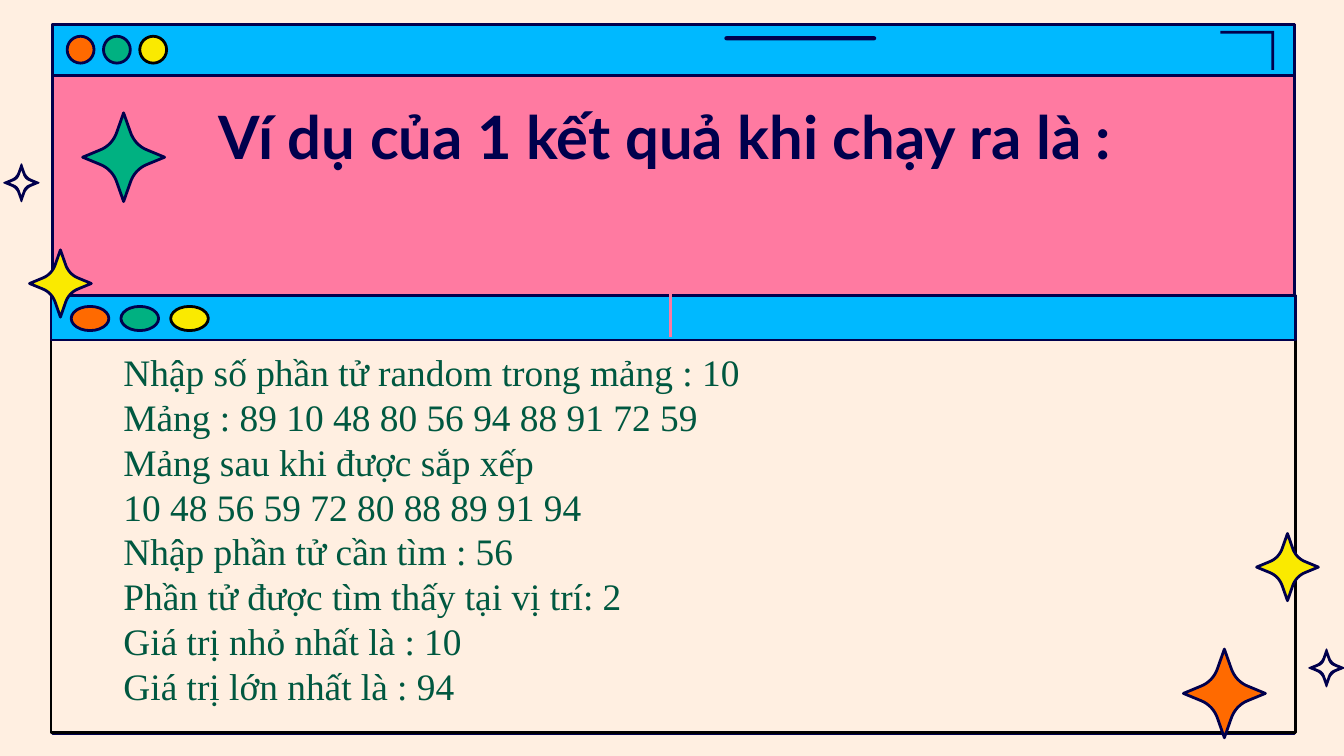
from pptx import Presentation
from pptx.dml.color import RGBColor
from pptx.enum.shapes import MSO_CONNECTOR, MSO_SHAPE
from pptx.enum.text import MSO_ANCHOR, MSO_AUTO_SIZE, PP_ALIGN
from pptx.util import Inches, Pt
from lxml.etree import SubElement
from pptx.oxml.ns import qn

NAVY, BLACK, CREAM = "00004D", "000000", "FFEFE1"
PINK, BLUE, TEXT_GREEN = "FF7AA1", "00B9FF", "005840"
ORANGE, GREEN, YELLOW = "FF6A00", "00B181", "FAEA00"
BUTTONS = [(ORANGE, NAVY), (GREEN, NAVY), (YELLOW, BLACK)]
RESULTS = [
    "Nhập số phần tử random trong mảng : 10",
    "Mảng : 89 10 48 80 56 94 88 91 72 59",
    "Mảng sau khi được sắp xếp",
    "10 48 56 59 72 80 88 89 91 94",
    "Nhập phần tử cần tìm : 56",
    "Phần tử được tìm thấy tại vị trí: 2",
    "Giá trị nhỏ nhất là : 10",
    "Giá trị lớn nhất là : 94",
]


def color(value):
    return RGBColor.from_string(value)


def style_shape(shape, fill, line=None, width=1.5):
    shape.shadow.inherit = False
    shape.fill.solid()
    shape.fill.fore_color.rgb = color(fill)
    if line:
        shape.line.color.rgb = color(line)
        shape.line.width = Pt(width)
    else:
        shape.line.fill.background()


def add_preset(page, kind, left, top, width, height, fill, line=None):
    shape = page.shapes.add_shape(
        kind, Inches(left), Inches(top), Inches(width), Inches(height))
    style_shape(shape, fill, line)
    return shape


def add_outline(page, contours, fill, line=None, width=1.5):
    contours = [[(Inches(x), Inches(y)) for x, y in points] for points in contours]
    builder = page.shapes.build_freeform(*contours[0][0])
    for index, points in enumerate(contours):
        if index:
            builder.move_to(*points[0])
        builder.add_line_segments(points[1:], close=True)
    style_shape(builder.convert_to_shape(), fill, line, width)


def add_window(page, left, top, width, height, bar_height, fill, line):
    add_preset(page, MSO_SHAPE.RECTANGLE, left, top, width, height, fill, line)
    add_preset(page, MSO_SHAPE.RECTANGLE, left, top, width, bar_height, BLUE, NAVY)


def add_buttons(page, left, top, width, height, pitch):
    for index, (fill, line) in enumerate(BUTTONS):
        add_preset(page, MSO_SHAPE.OVAL, left + index * pitch, top, width, height, fill, line)


def sparkle_points(center_x, center_y, width, height):
    start, first, second, end = (0.16, 0.58), (0.23, 0.38), (0.38, 0.23), (0.58, 0.16)
    arm = [(0, 1)]
    for step in range(9):
        t = step / 8
        weights = ((1 - t) ** 3, 3 * t * (1 - t) ** 2, 3 * t ** 2 * (1 - t), t ** 3)
        arm.append(tuple(
            sum(weight * point[axis] for weight, point in zip(weights, (start, first, second, end)))
            for axis in (0, 1)))
    points = []
    for _ in range(4):
        points += arm
        arm = [(y, -x) for x, y in arm]
    return [(center_x + x * width / 2, center_y + y * height / 2) for x, y in points]


def add_sparkle(page, center_x, center_y, width, height, fill):
    add_outline(page, [sparkle_points(center_x, center_y, width, height)], fill, NAVY)


def add_hollow_sparkle(page, center_x, center_y):
    contours = [sparkle_points(center_x, center_y, width, height)
                for width, height in ((0.26, 0.28), (0.2, 0.22))]
    add_outline(page, contours, NAVY, NAVY, 0.75)


def add_line(page, x1, y1, x2, y2, line):
    connector = page.shapes.add_connector(
        MSO_CONNECTOR.STRAIGHT, Inches(x1), Inches(y1), Inches(x2), Inches(y2))
    connector.line.color.rgb = color(line)
    connector.line.width = Pt(1.5)
    SubElement(connector._element.spPr, qn("a:effectLst"))


def format_paragraph(paragraph, text, font, size, fill, bold=False):
    paragraph.text = text
    for span in paragraph.runs:
        span.font.name = font
        span.font.size = Pt(size)
        span.font.bold = bold
        span.font.color.rgb = color(fill)


def set_title(page, text):
    title = page.shapes.title
    title.left, title.top = Inches(0.78), Inches(0.64)
    title.width, title.height = Inches(8.44), Inches(0.63)
    frame = title.text_frame
    frame.margin_left = frame.margin_top = frame.margin_bottom = Inches(0.1)
    frame.margin_right = Inches(0.2)
    frame.vertical_anchor = MSO_ANCHOR.TOP
    frame.auto_size = MSO_AUTO_SIZE.NONE
    paragraph = frame.paragraphs[0]
    format_paragraph(paragraph, text, "Lato", 32, NAVY, True)
    paragraph.alignment = PP_ALIGN.CENTER
    page.shapes._spTree.append(title._element)


def add_results(page, lines):
    box = page.shapes.add_textbox(Inches(0.82), Inches(2.55), Inches(5.68), Inches(2.79))
    frame = box.text_frame
    frame.word_wrap = True
    frame.auto_size = MSO_AUTO_SIZE.SHAPE_TO_FIT_TEXT
    for index, line in enumerate(lines):
        paragraph = frame.add_paragraph() if index else frame.paragraphs[0]
        format_paragraph(paragraph, line, "Times New Roman", 20, TEXT_GREEN)


def main():
    deck = Presentation()
    deck.slide_width = Inches(10)
    deck.slide_height = deck.slide_width * 9 // 16
    page = deck.slides.add_slide(deck.slide_layouts[5])
    page.background.fill.solid()
    page.background.fill.fore_color.rgb = color(CREAM)

    add_window(page, 0.39, 0.18, 9.24, 5.28, 0.38, PINK, NAVY)
    corner = [(9.08, 0.23), (9.48, 0.23), (9.48, 0.52), (9.46, 0.52), (9.46, 0.25), (9.08, 0.25)]
    add_outline(page, [corner], NAVY)
    handle = add_preset(page, MSO_SHAPE.ROUNDED_RECTANGLE, 5.39, 0.27, 1.13, 0.03, NAVY)
    handle.adjustments[0] = 0.5
    add_buttons(page, 0.5, 0.27, 0.2, 0.2, 0.27)

    add_window(page, 0.38, 2.2, 9.26, 3.25, 0.33, CREAM, BLACK)
    add_buttons(page, 0.53, 2.28, 0.28, 0.18, 0.37)

    set_title(page, "Ví dụ của 1 kết quả khi chạy ra là :")
    add_line(page, 4.99, 1.92, 4.99, 2.51, PINK)

    add_hollow_sparkle(page, 0.16, 1.36)
    add_sparkle(page, 0.45, 2.11, 0.46, 0.5, YELLOW)
    add_sparkle(page, 0.92, 1.17, 0.61, 0.66, GREEN)
    add_hollow_sparkle(page, 9.87, 4.97)
    add_sparkle(page, 9.58, 4.22, 0.46, 0.5, YELLOW)
    add_sparkle(page, 9.11, 5.16, 0.61, 0.66, ORANGE)
    add_results(page, RESULTS)
    deck.save("out.pptx")


if __name__ == "__main__":
    main()
